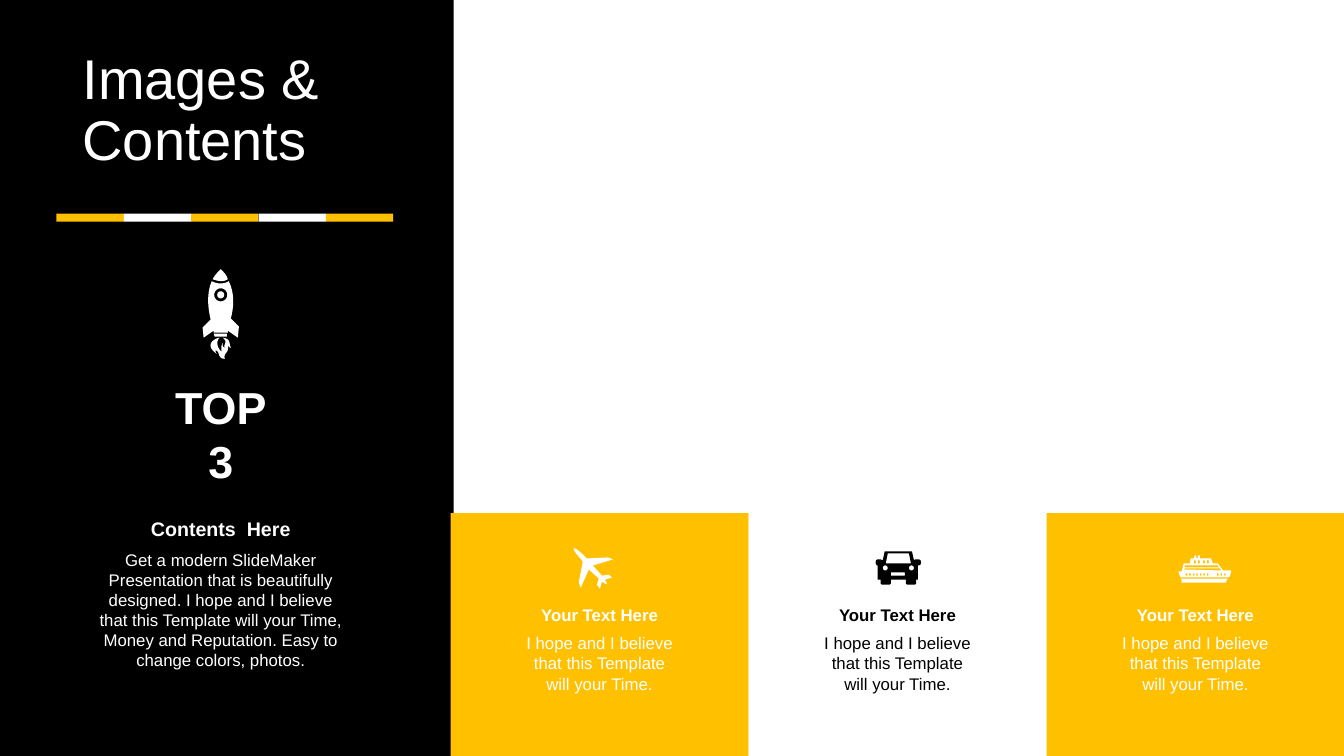
from math import cos, pi, sin

from lxml.etree import SubElement
from pptx import Presentation
from pptx.dml.color import RGBColor
from pptx.enum.shapes import MSO_SHAPE as SHAPE
from pptx.enum.text import MSO_ANCHOR as ANCHOR, PP_ALIGN as ALIGN
from pptx.oxml.ns import qn
from pptx.util import Inches, Pt

BLACK = RGBColor(0x00, 0x00, 0x00)
WHITE = RGBColor(0xFF, 0xFF, 0xFF)
AMBER = RGBColor(0xFF, 0xC0, 0x00)

SLIDE_W, SLIDE_H = 13.33, 7.5
PANEL_W = 4.5
CARDS_X, CARDS_Y, CARD_W = 4.47, 5.09, 2.955
UNIT = 100


def box(x, y, w, h):
    """Return the outline of a rectangle."""
    return [(x, y), (x + w, y), (x + w, y + h), (x, y + h)]


def circle(x, y, radius, steps=24):
    """Return the outline of a circle."""
    turns = [2 * pi * i / steps for i in range(steps)]
    return [(x + radius * cos(t), y + radius * sin(t)) for t in turns]


ROCKET = [
    [(17, 68), (14, 70, 13, 77, 19, 82), (18, 77, 19, 75, 20, 73),
     (20, 74, 19, 77, 22, 78), (20, 74, 26, 73, 20, 68), (28, 69, 26, 73, 28, 78),
     (26, 78, 24, 74, 25, 76), (27, 83, 20, 83, 22, 89), (15, 89, 17, 82, 14, 81),
     (13, 80, 12, 81, 14, 84), (2, 76, 10, 69, 17, 68)],
    [(11, 64), (24, 64), (24, 67), (12, 67)],
    circle(18, 25.5, 3.5),
    circle(18, 25.5, 6.5),
    [(9, 12), (15, 15, 21, 15, 26, 12), (32, 24, 31, 38, 28, 49), (36, 57), (35, 68),
     (25, 61), (25, 63), (11, 63), (11, 61), (1, 68), (0, 58), (8, 50),
     (5, 38, 4, 24, 9, 12)],
    [(18, 0), (21, 3, 24, 6, 25, 10), (21, 13, 15, 12, 10, 10), (12, 6, 15, 3, 18, 0)],
]
PLANE = [
    [(38, 29), (31, 31), (31, 32, 33, 34, 33, 35), (32, 36, 30, 34, 28, 33), (26, 40),
     (23, 36), (25, 30), (15, 21), (7, 39), (5, 34), (9, 13), (6, 9, -1, 2, 0, 0),
     (2, -1, 9, 6, 13, 10), (34, 9), (39, 11), (19, 17), (28, 27),
     (30, 27, 35, 26, 35, 26)],
]
CAR = [
    [(9, 0), (36, 0), (38, 9), (39, 8), (42, 8), (44, 8, 45, 9, 45, 11),
     (45, 13, 44, 14, 42, 14), (42, 28), (40, 28), (40, 32), (39, 33), (31, 33),
     (30, 32), (30, 28), (15, 28), (15, 32), (14, 33), (6, 33), (5, 32), (5, 28),
     (2, 28), (2, 14), (1, 14, 0, 13, 0, 11), (0, 9, 1, 8, 2, 8), (5, 8), (7, 9)],
    [(12, 2), (10, 12), (35, 12), (33, 2)],
    circle(9.5, 16.5, 2.5),
    circle(35.5, 16.5, 2.5),
    box(15, 21, 14, 3),
]
SHIP = [
    [(19, 0), (21, 0), (21, 3), (32, 3), (34, 8), (39, 8), (44, 15), (52, 15),
     (52, 18, 51, 20, 50, 22), (2, 22), (1, 20, 0, 18, 0, 16), (3, 16), (5, 8),
     (11, 8), (12, 3), (15, 3), (16, 0), (17, 0), (18, 3), (19, 3)],
    [(2, 23), (49, 23), (48, 24, 47, 25, 47, 27), (3, 27), (3, 25, 3, 24, 2, 23)],
    [(6, 13), (5, 14), (42, 15), (41, 13)],
    [(6, 10), (6, 12), (40, 12), (39, 10)],
    *[box(x, 18, 1.6, 2) for x in (7, 10.5, 14, 17.5, 21, 24.5, 28, 38, 41.5, 45)],
    *[box(x, 5, 2, 3) for x in (15, 19, 24, 28)],
]


def flatten(outline, steps=8):
    """Turn an outline of points and Bezier curves into plain points."""
    points = []
    for item in outline:
        if len(item) == 2:
            points.append(item)
            continue
        nodes = [points[-1], item[:2], item[2:4], item[4:]]
        for t in (i / steps for i in range(1, steps + 1)):
            weights = ((1 - t) ** 3, 3 * t * (1 - t) ** 2, 3 * t * t * (1 - t), t ** 3)
            points.append(tuple(sum(w * n[axis] for w, n in zip(weights, nodes))
                                for axis in (0, 1)))
    return [(x * UNIT, y * UNIT) for x, y in points]


def paint(sp, color):
    """Give a shape a plain fill without line or shadow."""
    sp.shadow.inherit = False
    sp.fill.solid()
    sp.fill.fore_color.rgb = color
    sp.line.fill.background()


def add_rect(slide, x, y, w, h, color):
    """Add a filled rectangle."""
    sp = slide.shapes.add_shape(SHAPE.RECTANGLE, Inches(x), Inches(y), Inches(w), Inches(h))
    paint(sp, color)


def add_icon(slide, outlines, x, y, color):
    """Add an icon drawn in hundredths of an inch from its top left corner."""
    first, *others = [flatten(outline) for outline in outlines]
    builder = slide.shapes.build_freeform(*first[0], scale=Inches(0.01) / UNIT)
    builder.add_line_segments(first[1:], close=True)
    for points in others:
        builder.move_to(*points[0])
        builder.add_line_segments(points[1:], close=True)
    paint(builder.convert_to_shape(Inches(x), Inches(y)), color)


def add_text(slide, text, x, y, w, h, size=12, color=WHITE, bold=False,
             align=ALIGN.CENTER, anchor=ANCHOR.TOP, spacing=1.0):
    """Add a wrapped text box with one paragraph a line."""
    tf = slide.shapes.add_textbox(Inches(x), Inches(y), Inches(w), Inches(h)).text_frame
    tf.word_wrap = True
    tf.vertical_anchor = anchor
    tf.text = text
    for p in tf.paragraphs:
        p.alignment = align
        p.line_spacing = spacing
        for r in p.runs:
            r.font.name = "Arial"
            r.font.size = Pt(size)
            r.font.bold = bold
            r.font.color.rgb = color


def add_panel(slide, x, y, w, h):
    """Build the dark panel with title, striped rule, icon and text."""
    add_rect(slide, x, y, w, h, BLACK)
    stripe_w = 3.34 / 5
    for i in range(5):
        add_rect(slide, x + 0.56 + i * stripe_w, y + 2.12, stripe_w, 0.08,
                 WHITE if i % 2 else AMBER)
    add_text(slide, "Images & Contents", x + 0.72, y + 0.25, 2.91, 1.72, size=40,
             align=ALIGN.LEFT, anchor=ANCHOR.MIDDLE, spacing=0.9)
    add_icon(slide, ROCKET, x + 2.01, y + 2.67, WHITE)
    left, width = x + 0.83, 2.72
    add_text(slide, "TOP\n3", left, y + 3.72, width, 1.18, size=32, bold=True)
    add_text(slide, "Contents  Here", left, y + 5.08, width, 0.34, size=14, bold=True)
    add_text(slide, "Get a modern SlideMaker Presentation that is beautifully designed. "
             "I hope and I believe that this Template will your Time, Money and "
             "Reputation. Easy to change colors, photos.", left, y + 5.4, width, 1.31)


def add_card(slide, x, y, w, h, icon, icon_x, icon_y, fill, color):
    """Build one card with an icon, a heading and a short text."""
    add_rect(slide, x, y, w, h, fill)
    add_icon(slide, icon, x + icon_x, y + icon_y, color)
    text_w = 1.67
    left = x + (w - text_w) / 2
    add_text(slide, "Your Text Here", left, y + 0.86, text_w, 0.3, color=color, bold=True)
    add_text(slide, "I hope and I believe that this Template will your Time.",
             left, y + 1.14, text_w, 0.71, color=color)


def main():
    """Build the slide and save it."""
    prs = Presentation()
    prs.slide_width, prs.slide_height = Inches(SLIDE_W), Inches(SLIDE_H)
    slide = prs.slides.add_slide(prs.slide_layouts[6])
    add_panel(slide, 0, 0, PANEL_W, SLIDE_H)
    cards = [(PLANE, 1.22, 0.35, AMBER, WHITE),
             (CAR, 1.26, 0.38, WHITE, BLACK),
             (SHIP, 1.31, 0.42, AMBER, WHITE)]
    for i, card in enumerate(cards):
        add_card(slide, CARDS_X + i * CARD_W, CARDS_Y, CARD_W, SLIDE_H - CARDS_Y, *card)
    prs.save("out.pptx")


if __name__ == "__main__":
    main()
